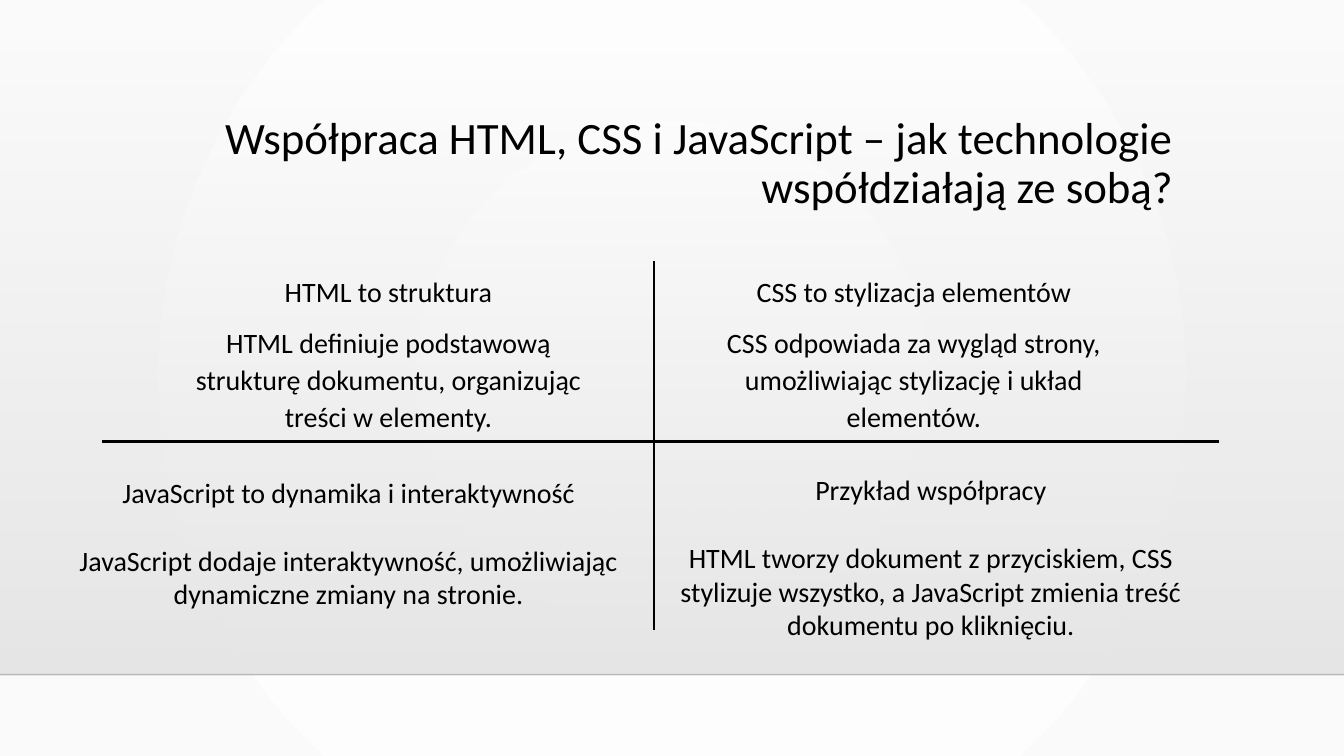
import pptx
import pptx.util
import pptx.oxml
import pptx.dml.color
import pptx.enum.shapes
import pptx.enum.text
from pptx.util import Cm

# Content
TITLE = "Współpraca HTML, CSS i JavaScript – jak technologie współdziałają ze sobą?"
LISTS = [  # left, top, width, height in cm, then heading and text
    ((4.42, 6.71, 10.74, 4.6), "HTML to struktura",
     "HTML definiuje podstawową strukturę dokumentu, organizując treści w elementy."),
    ((17.86, 6.71, 10.34, 5.1), "CSS to stylizacja elementów",
     "CSS odpowiada za wygląd strony, umożliwiając stylizację i układ elementów."),
]
NOTES = [
    ((1.75, 11.86, 14.07, 3.68), "JavaScript to dynamika i interaktywność",
     "JavaScript dodaje interaktywność, umożliwiając dynamiczne zmiany na stronie."),
    ((16.13, 11.79, 14.66, 4.52), "Przykład współpracy",
     "HTML tworzy dokument z przyciskiem, CSS stylizuje wszystko, "
     "a JavaScript zmienia treść dokumentu po kliknięciu."),
]
COLORS = {"ink": "000000", "mid": "FFFFFF", "edge": "FAFAFA",
          "top": "E7E6E6", "low": "E8E7E7"}
FONT = "Calibri"
WIDE, HIGH = 33.87, 19.05
BAND, FLOOR = 1.3, 17.0
NS = 'xmlns:a="http://schemas.openxmlformats.org/drawingml/2006/main"'
ALIGN = pptx.enum.text.PP_ALIGN
AUTO = pptx.enum.text.MSO_AUTO_SIZE


def shade(fill, first, last, way, alpha=100):
    """Turn a fill into a two-stop gradient that runs the given way."""
    fill.gradient()
    grad = fill._fill._gradFill
    new = pptx.oxml.parse_xml(
        f'<a:gradFill {NS} rotWithShape="1"><a:gsLst>'
        f'<a:gs pos="0"><a:srgbClr val="{COLORS[first]}">'
        f'<a:alpha val="{alpha * 1000}"/></a:srgbClr></a:gs>'
        f'<a:gs pos="100000"><a:srgbClr val="{COLORS[last]}"/></a:gs>'
        f'</a:gsLst>{way}</a:gradFill>')
    grad.getparent().replace(grad, new)


def place(shape, box):
    shape.left, shape.top, shape.width, shape.height = map(Cm, box)


def write(frame, texts, size, align, line, gaps):
    frame.word_wrap = True
    for i, (text, gap) in enumerate(zip(texts, gaps)):
        para = frame.paragraphs[0] if i == 0 else frame.add_paragraph()
        para.text = text
        para.alignment = align
        para.line_spacing = line
        para.space_before = pptx.util.Pt(gap)
        para.font.name = FONT
        para.font.size = pptx.util.Pt(size)
        para.font.color.rgb = pptx.dml.color.RGBColor.from_string(COLORS["ink"])


def rule(x1, y1, x2, y2, width, alpha=100):
    line = slide.shapes.add_connector(
        pptx.enum.shapes.MSO_CONNECTOR.STRAIGHT, *map(Cm, (x1, y1, x2, y2)))
    line.line.width = pptx.util.Pt(width)
    line.line.color.rgb = pptx.dml.color.RGBColor.from_string(COLORS["ink"])
    props = line._element.spPr
    props.append(pptx.oxml.parse_xml(f"<a:effectLst {NS}/>"))
    if alpha < 100:
        tint = props.find(".//{*}srgbClr")
        tint.append(pptx.oxml.parse_xml(f'<a:alpha {NS} val="{alpha * 1000}"/>'))
    return line


deck = pptx.Presentation()
deck.slide_width, deck.slide_height = Cm(WIDE), Cm(HIGH)
slide = deck.slides.add_slide(deck.slide_layouts[3])

# Backdrop: round glow, fading band and its lower edge
shade(slide.background.fill, "mid", "edge",
      '<a:path path="circle"><a:fillToRect l="50000" t="50000" r="50000" b="50000"/></a:path>')
band = slide.shapes.add_shape(pptx.enum.shapes.MSO_SHAPE.RECTANGLE,
                              0, Cm(BAND), Cm(WIDE), Cm(FLOOR - BAND))
band.shadow.inherit = False
band.line.fill.background()
shade(band.fill, "top", "low", '<a:lin ang="5400000" scaled="0"/>', alpha=0)
edge = rule(0, FLOOR, WIDE, FLOOR, 1, alpha=20)
tree = slide.shapes._spTree
for i, part in enumerate((band, edge)):
    tree.insert(2 + i, part._element)

# Title
title, *bodies = slide.placeholders
place(title, (3.15, 2.67, 26.67, 2.95))
title.text_frame.vertical_anchor = pptx.enum.text.MSO_ANCHOR.MIDDLE
write(title.text_frame, [TITLE], 32, ALIGN.RIGHT, 0.9, [0])
title.text_frame.auto_size = AUTO.NONE

# Upper quarters
for body, (box, *texts) in zip(bodies, LISTS):
    place(body, box)
    write(body.text_frame, texts, 20, ALIGN.CENTER, 1.1, [10, 10])
    body.text_frame.auto_size = AUTO.NONE
    for para in body.text_frame.paragraphs:
        props = para._p.get_or_add_pPr()
        props.set("marL", "0")
        props.set("indent", "0")
        props.find("{*}spcBef").addnext(pptx.oxml.parse_xml(f"<a:buNone {NS}/>"))

# Lower quarters, heading and text one line apart
for box, *texts in NOTES:
    note = slide.shapes.add_textbox(*map(Cm, box))
    write(note.text_frame, texts, 20, ALIGN.CENTER, 1.0, [0, 24.4])
    note.text_frame.auto_size = AUTO.SHAPE_TO_FIT_TEXT

# Cross
rule(16.48, 6.58, 16.48, 15.88, 1.75)
rule(30.73, 11.13, 2.57, 11.13, 1.75)

deck.save("out.pptx")
